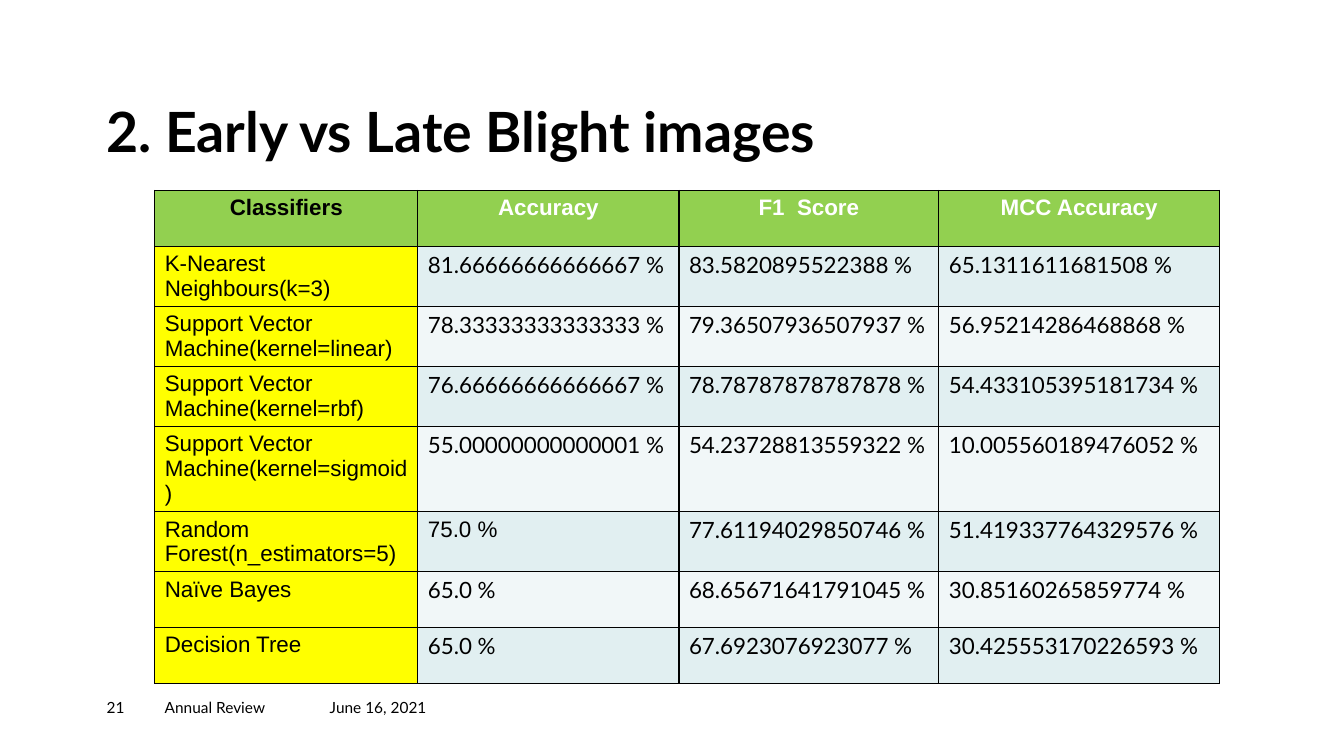
from lxml.etree import SubElement
from pptx import Presentation
from pptx.dml.color import RGBColor
from pptx.enum.text import MSO_ANCHOR, PP_ALIGN
from pptx.oxml.ns import qn
from pptx.util import Cm, Pt

BLACK = RGBColor(0x00, 0x00, 0x00)
WHITE = RGBColor(0xFF, 0xFF, 0xFF)
GREEN = RGBColor(0x92, 0xD0, 0x50)
YELLOW = RGBColor(0xFF, 0xFF, 0x00)
BANDS = RGBColor(0xE1, 0xEF, 0xF1), RGBColor(0xF1, 0xF7, 0xF8)

HEADINGS = ["Classifiers", "Accuracy", "F1  Score", "MCC Accuracy"]
RESULTS = [
    ["K-Nearest Neighbours(k=3)", "81.66666666666667", "83.5820895522388", "65.1311611681508"],
    ["Support Vector Machine(kernel=linear)", "78.33333333333333", "79.36507936507937", "56.95214286468868"],
    ["Support Vector Machine(kernel=rbf)", "76.66666666666667", "78.78787878787878", "54.433105395181734"],
    ["Support Vector Machine(kernel=sigmoid)", "55.00000000000001", "54.23728813559322", "10.005560189476052"],
    ["Random Forest(n_estimators=5)", "75.0", "77.61194029850746", "51.419337764329576"],
    ["Naïve Bayes", "65.0", "68.65671641791045", "30.85160265859774"],
    ["Decision Tree", "65.0", "67.6923076923077", "30.425553170226593"],
]
COLUMN_WIDTHS = [6.63, 6.58, 6.55, 7.07]
ONE_LINE, TWO_LINES, THREE_LINES = 1.41, 1.51, 2.14
ROW_HEIGHTS = [ONE_LINE, *[TWO_LINES] * 3, THREE_LINES, TWO_LINES, ONE_LINE, ONE_LINE]


def write(frame, text, font="Lato", size=16, color=BLACK, bold=False,
          align=PP_ALIGN.LEFT, spacing=None):
    paragraph = frame.paragraphs[0]
    paragraph.alignment = align
    paragraph.line_spacing = spacing
    run = paragraph.add_run()
    run.text = text
    run.font.name = font
    run.font.size = Pt(size)
    run.font.color.rgb = color
    run.font.bold = bold


class ResultsSlide:
    border_width = Pt(1)

    def __init__(self, deck):
        self.slide = deck.slides.add_slide(deck.slide_layouts[6])

    def text(self, text, left, top, width, height, anchor=MSO_ANCHOR.TOP, **style):
        box = self.slide.shapes.add_textbox(Cm(left), Cm(top), Cm(width), Cm(height))
        frame = box.text_frame
        frame.word_wrap = True
        frame.vertical_anchor = anchor
        frame.margin_left = frame.margin_right = 0
        frame.margin_top = frame.margin_bottom = 0
        write(frame, text, **style)

    def table(self, left, top, widths, heights):
        frame = self.slide.shapes.add_table(
            len(heights), len(widths), Cm(left), Cm(top),
            Cm(sum(widths)), Cm(sum(heights)))
        for column, width in zip(frame.table.columns, widths):
            column.width = Cm(width)
        for row, height in zip(frame.table.rows, heights):
            row.height = Cm(height)
        return frame.table

    def cell(self, cell, text, fill, **style):
        properties = cell._tc.get_or_add_tcPr()
        for side in ("lnL", "lnR", "lnT", "lnB"):
            line = SubElement(properties, qn(f"a:{side}"), w=str(self.border_width))
            solid = SubElement(line, qn("a:solidFill"))
            SubElement(solid, qn("a:srgbClr"), val=str(BLACK))
        cell.fill.solid()
        cell.fill.fore_color.rgb = fill
        # Without a bottom margin the wrapped names fit their row heights
        cell.margin_bottom = 0
        write(cell.text_frame, text, **style)


def main():
    deck = Presentation()
    deck.slide_width, deck.slide_height = Cm(33.87), Cm(19.05)
    page = ResultsSlide(deck)

    # Title
    page.text("2. Early vs Late Blight images", 2.68, 2.45, 20.3, 1.7,
              anchor=MSO_ANCHOR.BOTTOM, size=39.6, bold=True, spacing=0.9)

    # Footer
    for text, left, width in [("June 16, 2021", 8.31, 3.66),
                              ("Annual Review", 4.15, 4.17),
                              ("21", 2.69, 1.45)]:
        page.text(text, left, 17.58, width, 0.69, size=11)

    # Table heading
    scores = page.table(3.9, 4.8, COLUMN_WIDTHS, ROW_HEIGHTS)
    for column, heading in enumerate(HEADINGS):
        page.cell(scores.cell(0, column), heading, GREEN, font="Arial", bold=True,
                  color=WHITE if column else BLACK, align=PP_ALIGN.CENTER)

    # Classifier names and their scores
    for row, (classifier, *values) in enumerate(RESULTS, start=1):
        page.cell(scores.cell(row, 0), classifier, YELLOW, font="Arial")
        for column, value in enumerate(values, start=1):
            page.cell(scores.cell(row, column), f"{value} %", BANDS[(row - 1) % 2],
                      font="Arial" if value == "75.0" else "Lato")

    deck.save("out.pptx")


if __name__ == "__main__":
    main()
